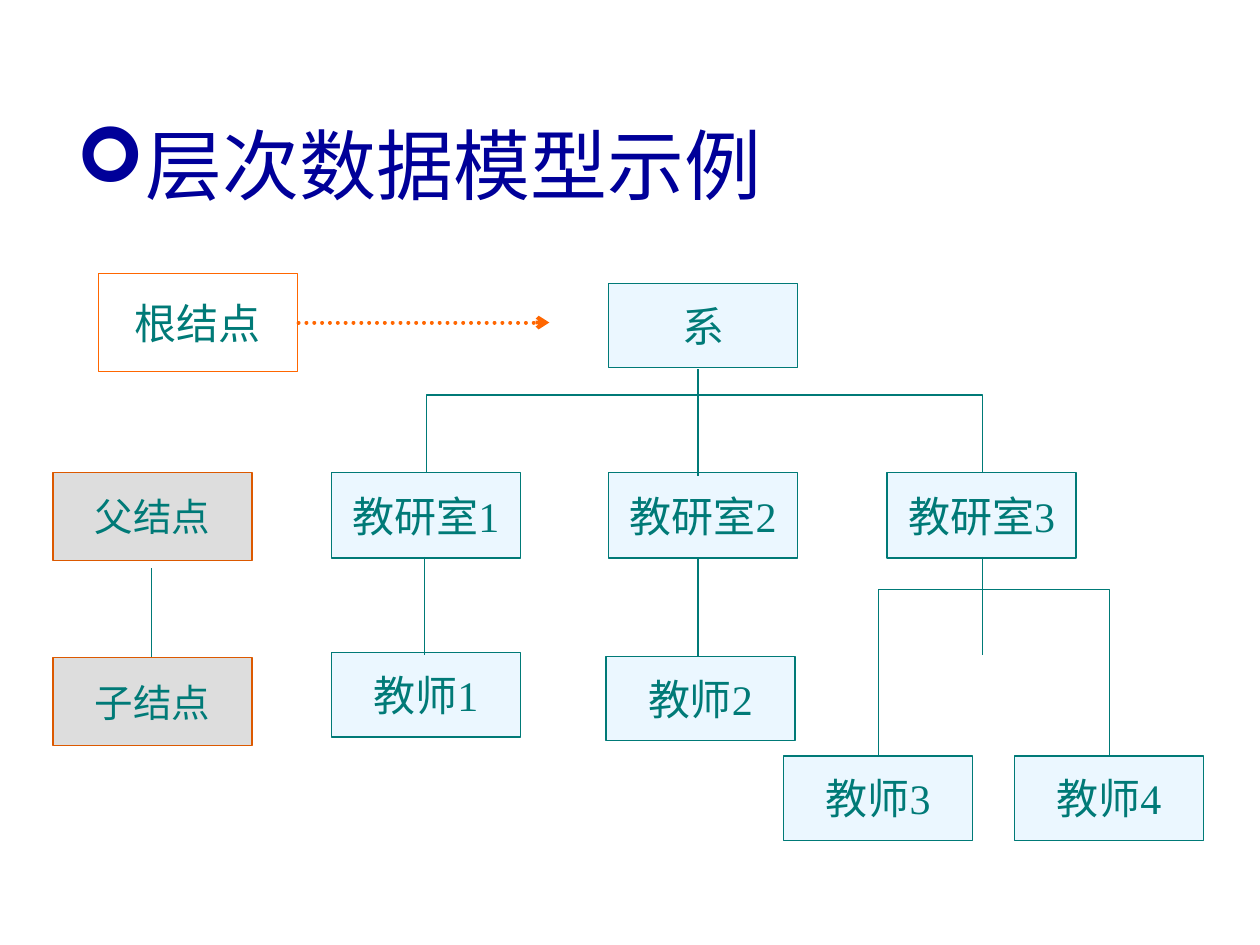
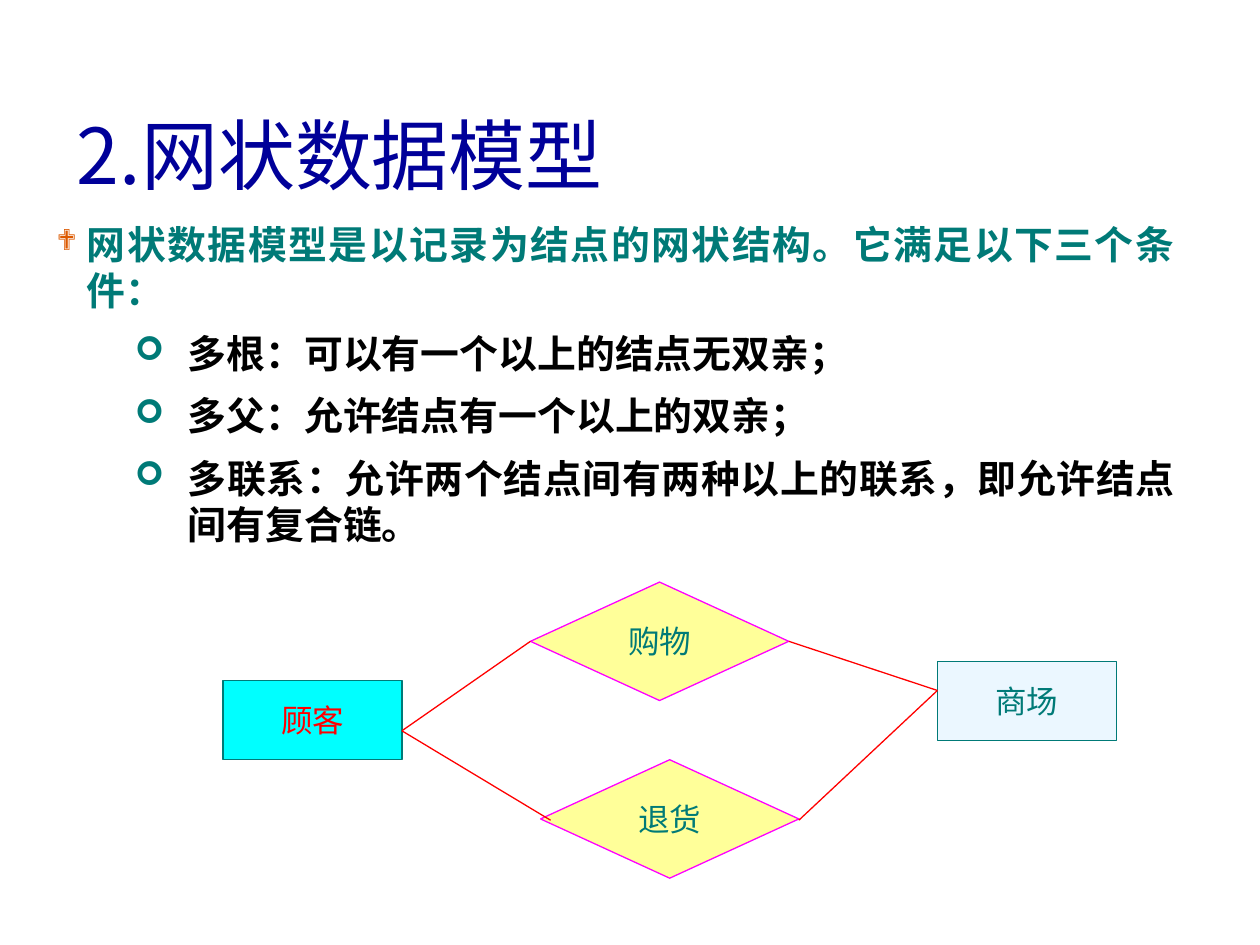
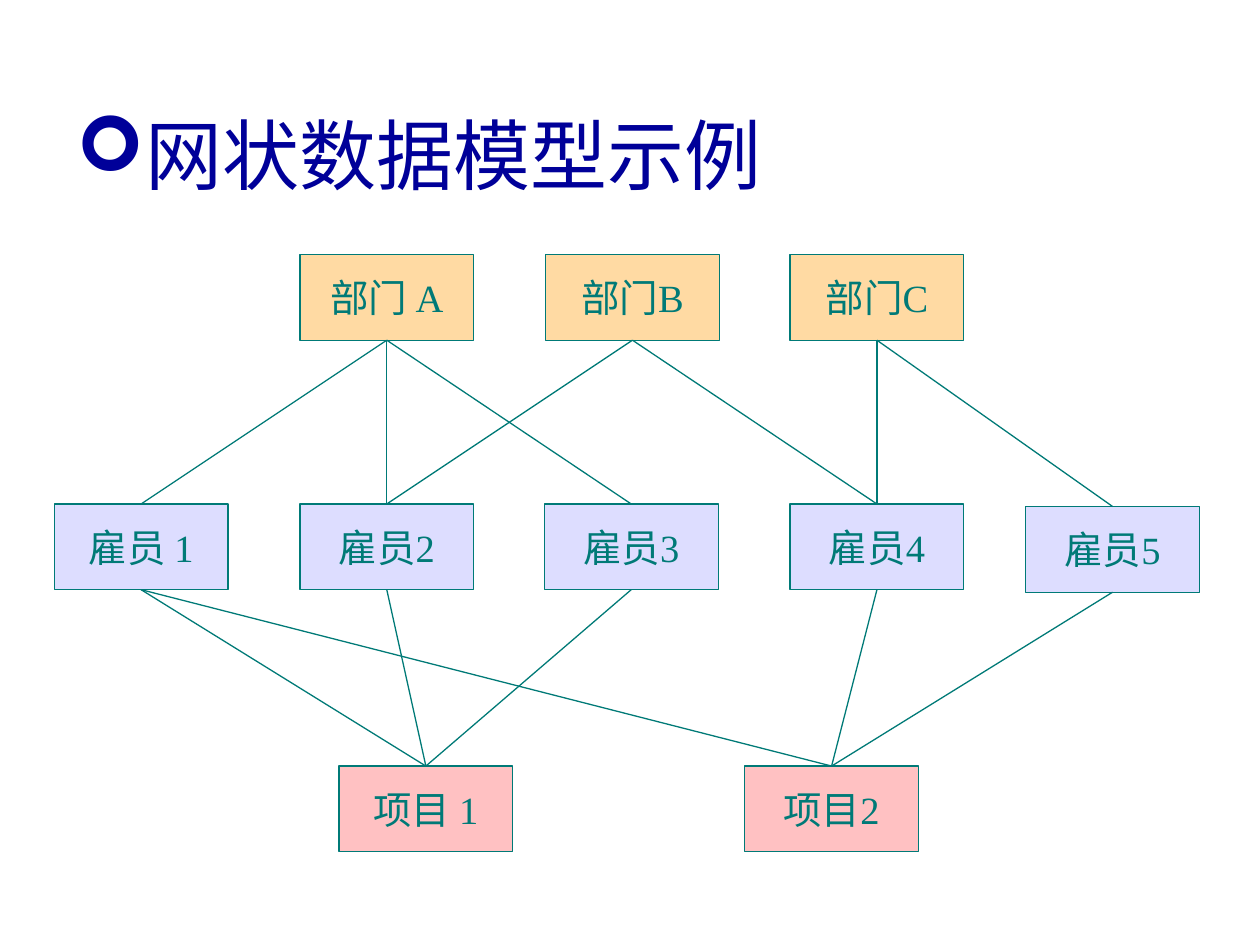
"""Build three slides on hierarchical and network data models."""
from lxml import etree
from pptx import Presentation
from pptx import util as u
from pptx.dml.color import RGBColor
from pptx.enum import dml, shapes, text
from pptx.oxml import ns

PX = 9144
TEAL = RGBColor(0x00, 0x7A, 0x77)
NAVY = RGBColor(0x00, 0x00, 0x99)
ORANGE = RGBColor(0xFF, 0x66, 0x00)
RUST = RGBColor(0xDC, 0x59, 0x00)
RED = RGBColor(0xFF, 0x00, 0x00)
MAGENTA = RGBColor(0xFF, 0x00, 0xFF)
CYAN = RGBColor(0x00, 0xFF, 0xFF)
BLACK = RGBColor(0x00, 0x00, 0x00)
ICE = RGBColor(0xEB, 0xF7, 0xFF)
GREY = RGBColor(0xDD, 0xDD, 0xDD)
YELLOW = RGBColor(0xFF, 0xFF, 0x99)
PEACH = RGBColor(0xFF, 0xDA, 0xA3)
LILAC = RGBColor(0xDD, 0xDD, 0xFF)
PINK = RGBColor(0xFF, 0xC1, 0xC2)
SANS, SERIF, PLAIN, SYMBOLS = "Noto Sans CJK SC", "Times New Roman", "Arial", "Wingdings"
RECTANGLE = shapes.MSO_SHAPE.RECTANGLE
DECISION = shapes.MSO_SHAPE.FLOWCHART_DECISION

TREE_WIDTH = 150
TREE_NODES = [
    ("系", 483, 225, 67), ("教研室1", 263, 375, 68), ("教研室2", 483, 375, 68),
    ("教研室3", 704, 375, 68), ("教师1", 263, 518, 67), ("教师2", 481, 521, 67),
    ("教师3", 622, 600, 67), ("教师4", 805, 600, 67),
]
TREE_LINES = [
    (337, 442, 337, 520), (554, 293, 554, 378), (780, 442, 780, 520),
    (554, 443, 554, 521), (120, 451, 120, 522),
]
TREE_BRACKETS = [(338, 779, 313, 375), (697, 880, 466, 600)]
LEGEND = [("父结点", 375), ("子结点", 522)]

CONDITIONS = [
    ("网状数据模型是以记录为结点的网状结构。它满足以下三个条件：", 0),
    ("多根：可以有一个以上的结点无双亲；", 1),
    ("多父：允许结点有一个以上的双亲；", 1),
    ("多联系：允许两个结点间有两种以上的联系，即允许结点间有复合链。", 1),
]
LEVELS = [
    dict(color=TEAL, margin=24, hang=24, mark="❖", mark_color=RUST, mark_size=75),
    dict(color=BLACK, margin=104, hang=42, mark="➢", mark_color=TEAL, mark_size=85),
]
SHOP_NODES = [
    ("顾客", RECTANGLE, (177, 540, 142, 63), CYAN, TEAL, RED),
    ("商场", RECTANGLE, (744, 525, 142, 63), ICE, TEAL, TEAL),
    ("购物", DECISION, (421, 462, 205, 94), YELLOW, MAGENTA, TEAL),
    ("退货", DECISION, (429, 603, 205, 94), YELLOW, MAGENTA, TEAL),
]
SHOP_LINES = [
    (319, 580, 421, 509), (319, 580, 437, 651), (626, 509, 744, 548), (744, 548, 634, 651),
]

NETWORK_SIZE = (138, 68)
NETWORK_ROWS = [
    (PEACH, [("部门 A", 238, 202), ("部门B", 433, 202), ("部门C", 627, 202)]),
    (LILAC, [("雇员 1", 43, 400), ("雇员2", 238, 400), ("雇员3", 432, 400),
             ("雇员4", 627, 400), ("雇员5", 814, 402)]),
    (PINK, [("项目 1", 269, 608), ("项目2", 591, 608)]),
]
NETWORK_LINKS = {
    "部门 A": ["雇员 1", "雇员2", "雇员3"],
    "部门B": ["雇员2", "雇员4"],
    "部门C": ["雇员4", "雇员5"],
    "雇员 1": ["项目 1", "项目2"],
    "雇员2": ["项目 1"],
    "雇员3": ["项目 1"],
    "雇员4": ["项目2"],
    "雇员5": ["项目2"],
}


def emu(*lengths):
    return [int(length * PX) for length in lengths]


def place(shape, box):
    shape.left, shape.top, shape.width, shape.height = emu(*box)


def add_run(paragraph, words, size, font, color, bold=False):
    run = paragraph.add_run()
    run.text = words
    run.font.size, run.font.name, run.font.bold = u.Pt(size), font, bold
    run.font.color.rgb = color
    east_asian = etree.SubElement(run.font._element, ns.qn("a:ea"))
    east_asian.set("typeface", SANS)


def add_bullet(paragraph, mark, color, size=100, margin=0, hang=0):
    properties = paragraph._p.get_or_add_pPr()
    properties.set("marL", str(margin * PX))
    properties.set("indent", str(-hang * PX))
    properties.set("hangingPunct", "0")
    bullet_color = etree.SubElement(properties, ns.qn("a:buClr"))
    etree.SubElement(bullet_color, ns.qn("a:srgbClr")).set("val", str(color))
    etree.SubElement(properties, ns.qn("a:buSzPct")).set("val", str(size * 1000))
    etree.SubElement(properties, ns.qn("a:buFont")).set("typeface", SYMBOLS)
    etree.SubElement(properties, ns.qn("a:buChar")).set("char", mark)


def add_slide(presentation, layout, heading, top, width=900, bullet=True):
    slide = presentation.slides.add_slide(presentation.slide_layouts[layout])
    title = slide.shapes.title
    place(title, (51, top, width, 92))
    frame = title.text_frame
    frame.auto_size = text.MSO_AUTO_SIZE.NONE
    frame.vertical_anchor = text.MSO_ANCHOR.MIDDLE
    paragraph = frame.paragraphs[0]
    paragraph.alignment = text.PP_ALIGN.LEFT
    if bullet:
        add_bullet(paragraph, "➢", NAVY)
    add_run(paragraph, heading, 44, SANS, NAVY)
    return slide


def add_node(slide, words, box, fill, size=24, font=SERIF, line=TEAL, color=TEAL, kind=RECTANGLE):
    shape = slide.shapes.add_shape(kind, *emu(*box))
    shape.shadow.inherit = False
    if fill is None:
        shape.fill.background()
    else:
        shape.fill.solid()
        shape.fill.fore_color.rgb = fill
    shape.line.color.rgb = line
    shape.line.width = u.Pt(0.75)
    frame = shape.text_frame
    frame.word_wrap = False
    frame.vertical_anchor = text.MSO_ANCHOR.MIDDLE
    paragraph = frame.paragraphs[0]
    paragraph.alignment = text.PP_ALIGN.CENTER
    add_run(paragraph, words, size, font, color)


def add_line(slide, ends, color=TEAL, width=0.75, kind=shapes.MSO_CONNECTOR.STRAIGHT):
    connector = slide.shapes.add_connector(kind, *emu(*ends))
    connector.line.color.rgb = color
    connector.line.width = u.Pt(width)
    etree.SubElement(connector._element.spPr, ns.qn("a:effectLst"))
    return connector


def add_bracket(slide, left, right, top, bottom):
    middle, half = (left + right) / 2, (right - left) / 2
    ends = (middle + 1, bottom - half, middle, bottom + half)
    connector = add_line(slide, ends, kind=shapes.MSO_CONNECTOR.ELBOW)
    properties = connector._element.spPr
    properties.find(ns.qn("a:xfrm")).set("rot", str(270 * 60000))
    guide = etree.SubElement(properties.find(ns.qn("a:prstGeom")).find(ns.qn("a:avLst")), ns.qn("a:gd"))
    guide.set("name", "adj1")
    guide.set("fmla", f"val {(top - bottom) * 100000}")


def add_tree_slide(presentation):
    slide = add_slide(presentation, 5, "层次数据模型示例", 84)
    for words, left, top, height in TREE_NODES:
        add_node(slide, words, (left, top, TREE_WIDTH, height), ICE)
    for ends in TREE_LINES:
        add_line(slide, ends)
    for bracket in TREE_BRACKETS:
        add_bracket(slide, *bracket)
    arrow = add_line(slide, (237, 256, 436, 256), ORANGE, 2.25)
    arrow.line.dash_style = dml.MSO_LINE.ROUND_DOT
    arrow.line._ln.set("cap", "rnd")
    etree.SubElement(arrow.line._ln, ns.qn("a:tailEnd")).set("type", "arrow")
    add_node(slide, "根结点", (78, 217, 158, 78), None, line=ORANGE)
    for words, top in LEGEND:
        add_node(slide, words, (42, top, 158, 70), GREY, size=22, line=RUST)


def add_conditions_slide(presentation):
    slide = add_slide(presentation, 1, "2.网状数据模型", 76, 866, bullet=False)
    body = slide.placeholders[1]
    place(body, (35, 170, 908, 268))
    frame = body.text_frame
    frame.auto_size = text.MSO_AUTO_SIZE.NONE
    for index, (words, level) in enumerate(CONDITIONS):
        paragraph = frame.add_paragraph() if index else frame.paragraphs[0]
        style = LEVELS[level]
        paragraph.level = level
        paragraph.alignment = text.PP_ALIGN.JUSTIFY
        paragraph.line_spacing = 1.0
        paragraph.space_before = u.Pt(9)
        add_bullet(paragraph, style["mark"], style["mark_color"], style["mark_size"],
                   style["margin"], style["hang"])
        add_run(paragraph, words, 22.2, SANS, style["color"], bold=True)
    for words, kind, box, fill, line, color in SHOP_NODES:
        add_node(slide, words, box, fill, 18, PLAIN, line, color, kind)
    for ends in SHOP_LINES:
        add_line(slide, ends, RED)


def add_network_slide(presentation):
    slide = add_slide(presentation, 5, "网状数据模型示例", 76)
    width, height = NETWORK_SIZE
    corners = {}
    for fill, row in NETWORK_ROWS:
        for words, left, top in row:
            add_node(slide, words, (left, top, width, height), fill, size=22)
            corners[words] = (left, top)
    for parent, children in NETWORK_LINKS.items():
        left, top = corners[parent]
        for child in children:
            child_left, child_top = corners[child]
            add_line(slide, (left + width / 2, top + height, child_left + width / 2, child_top))


def main():
    presentation = Presentation()
    presentation.slide_width, presentation.slide_height = emu(1000, 750)
    add_tree_slide(presentation)
    add_conditions_slide(presentation)
    add_network_slide(presentation)
    presentation.save("out.pptx")


if __name__ == "__main__":
    main()
